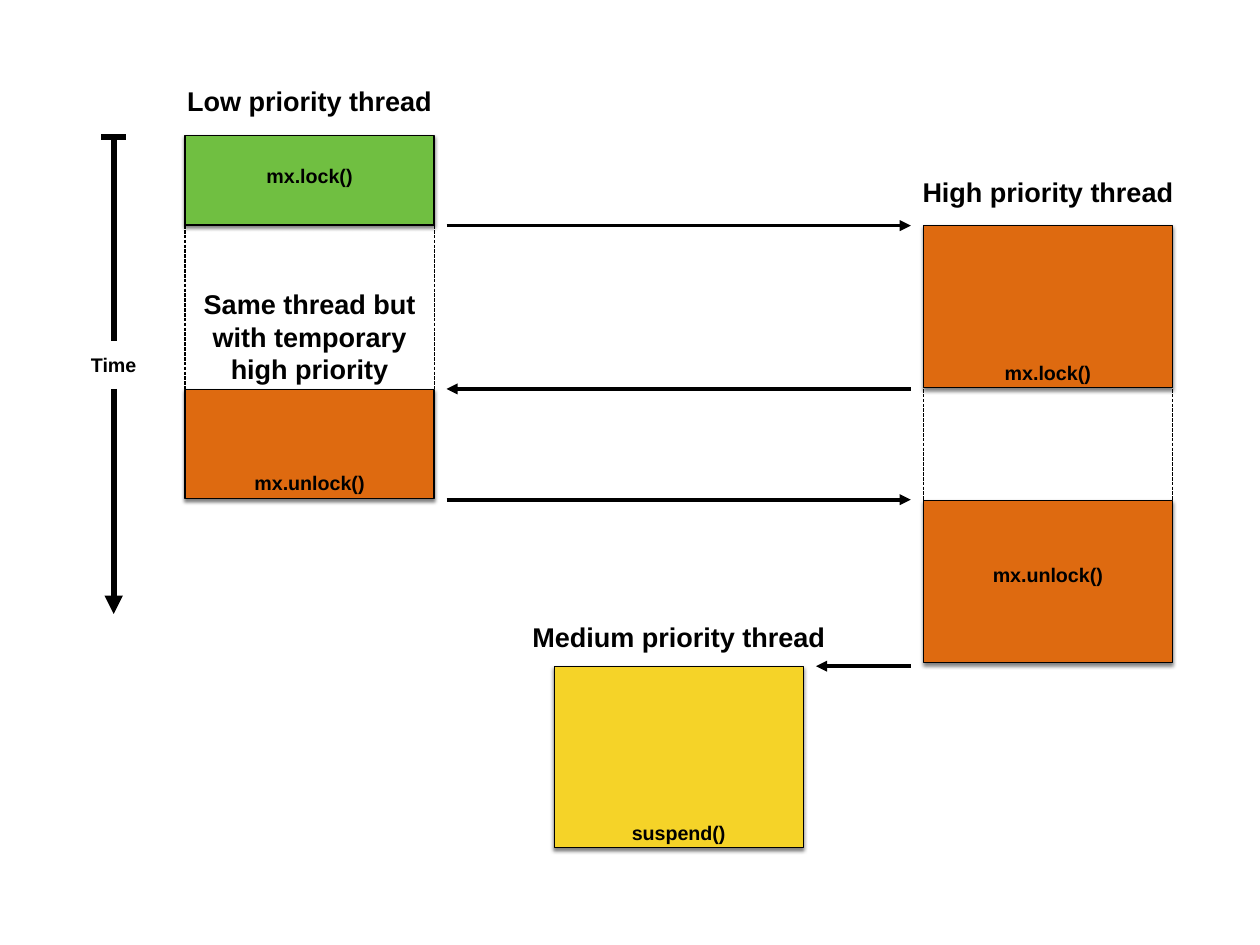
from lxml.etree import SubElement
from pptx import Presentation
from pptx.dml.color import RGBColor
from pptx.enum.dml import MSO_LINE
from pptx.enum.shapes import MSO_CONNECTOR, MSO_SHAPE
from pptx.enum.text import MSO_ANCHOR, PP_ALIGN
from pptx.oxml import parse_xml
from pptx.oxml.ns import nsdecls, qn
from pptx.util import Pt

BLACK, GREEN, ORANGE, YELLOW = "000000", "70BF41", "DE6A10", "F5D328"
SHADOW = (f'<a:outerShdw {nsdecls("a")} blurRad="38100" dist="25400" dir="5400000" '
          'rotWithShape="0"><a:srgbClr val="000000"><a:alpha val="50000"/>'
          '</a:srgbClr></a:outerShdw>')

presentation = Presentation()
presentation.slide_width, presentation.slide_height = Pt(1024), Pt(768)
slide = presentation.slides.add_slide(presentation.slide_layouts[6])


def add_text(text, center, top, width=222.4, height=27.4, size=16):
    box = slide.shapes.add_textbox(Pt(center - width / 2), Pt(top), Pt(width), Pt(height))
    frame = box.text_frame
    frame.word_wrap = True
    frame.vertical_anchor = MSO_ANCHOR.MIDDLE
    frame.margin_left = frame.margin_right = Pt(4)
    frame.margin_top = frame.margin_bottom = Pt(4)
    paragraph = frame.paragraphs[0]
    paragraph.alignment = PP_ALIGN.CENTER
    run = paragraph.add_run()
    run.text = text
    run.font.name, run.font.size, run.font.bold = "Arial", Pt(size), True
    run.font.color.rgb = RGBColor.from_string(BLACK)


def add_line(x1, y1, x2, y2, weight, arrow=False, dashed=False):
    line = slide.shapes.add_connector(MSO_CONNECTOR.STRAIGHT, Pt(x1), Pt(y1), Pt(x2), Pt(y2))
    line.line.color.rgb = RGBColor.from_string(BLACK)
    line.line.width = Pt(weight)
    if dashed:
        line.line.dash_style = MSO_LINE.SQUARE_DOT
    if arrow:
        SubElement(line.line._get_or_add_ln(), qn("a:tailEnd"), type="triangle")
    SubElement(line._element.spPr, qn("a:effectLst"))


# Thread columns (centres) and the moments when control changes hands
low, medium, high = 251.6, 551.6, 851.6
block_width = 202.4
high_starts, high_blocks, low_unlocks, medium_starts = 183.4, 316.1, 406.1, 541.4

# Running blocks
for center, top, height, color in [
    (medium, medium_starts, 147.6, YELLOW),
    (high, high_starts, 131.8, ORANGE),
    (low, 316.8, 88.6, ORANGE),
    (low, 110.2, 72.7, GREEN),
    (high, 406.8, 131.8, ORANGE),
]:
    block = slide.shapes.add_shape(MSO_SHAPE.RECTANGLE, Pt(center - block_width / 2),
                                   Pt(top), Pt(block_width), Pt(height))
    block.fill.solid()
    block.fill.fore_color.rgb = RGBColor.from_string(color)
    block.line.color.rgb = RGBColor.from_string(BLACK)
    block.line.width = Pt(1)
    block.shadow.inherit = False
    block._element.spPr.find(qn("a:effectLst")).append(parse_xml(SHADOW))

# Waiting periods
for center, top, bottom in [(low, 182.9, high_blocks), (high, high_blocks, low_unlocks)]:
    for side in (-1, 1):
        x = center + side * block_width / 2
        add_line(x, top, x, bottom, 1, dashed=True)

# Time axis, with a gap for its label
axis = 92.4
add_line(axis - 10.2, 111.6, axis + 10.2, 111.6, 5)
add_line(axis, 111.6, axis, 277.2, 5)
add_line(axis, 316.1, axis, 499, 5, arrow=True)
add_text("Time", axis, 283, width=95.8)

# Switches between threads
near_low, near_medium, near_high = 362.9, 663.1, 740.2
for start, end, y in [
    (near_low, near_high, high_starts),
    (near_high, near_low, high_blocks),
    (near_low, near_high, low_unlocks),
    (near_high, near_medium, medium_starts),
]:
    add_line(start, y, end, y, 3, arrow=True)

# Thread names
add_text("Low priority thread", low, 64.8, height=33.8, size=22)
add_text("High priority thread", high, 139, height=33.8, size=22)
add_text("Medium priority thread", medium, 500.4, width=265.7, height=33.8, size=22)
add_text("Same thread but with temporary high priority", low, 230.4,
         width=186.5, height=85.7, size=22)

# Calls
for call, center, top in [
    ("mx.lock()", low, 128.9),
    ("mx.lock()", high, 289.4),
    ("mx.unlock()", low, 378.7),
    ("mx.unlock()", high, 453.6),
    ("suspend()", medium, 663.1),
]:
    add_text(call, center, top)

presentation.save("out.pptx")
